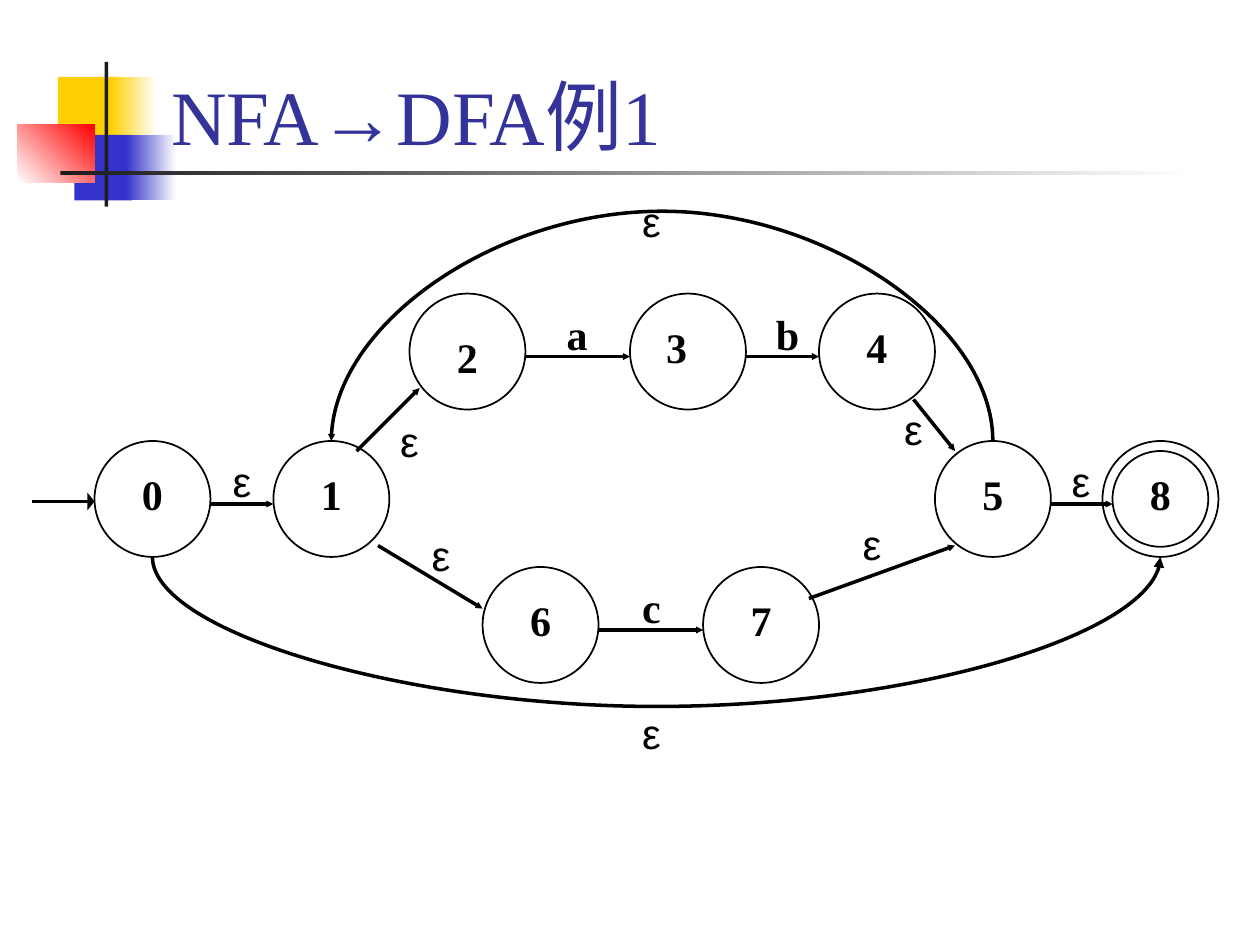
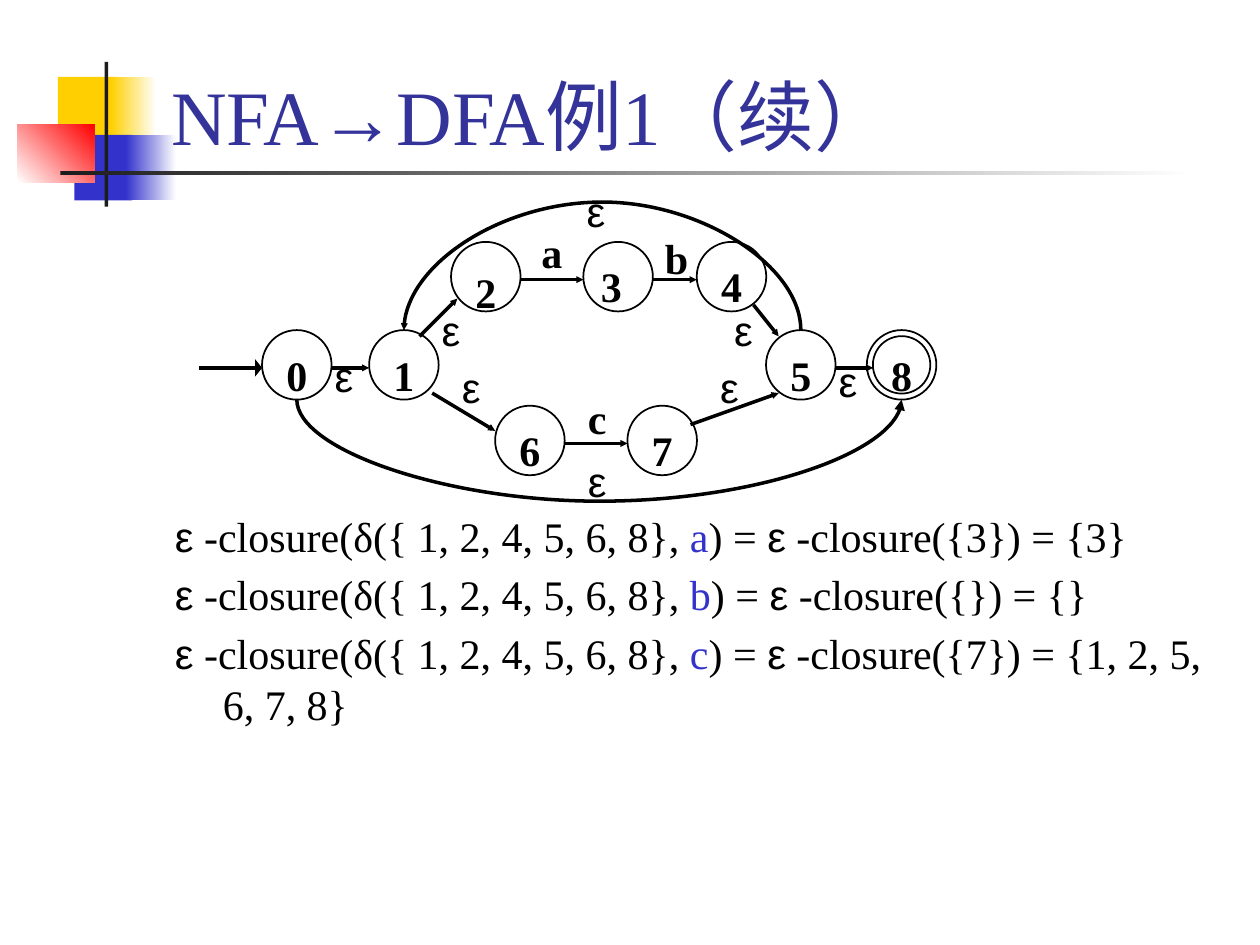
from lxml import etree
from pptx import Presentation
from pptx import util as u
from pptx.dml.color import RGBColor
from pptx.enum import shapes, text
from pptx.oxml import ns

COLORS = {
    "black": "000000",
    "white": "FFFFFF",
    "title": "333399",
    "yellow": "FFCF01",
    "blue": "3333CC",
    "red": "FF0000",
    "bar": "1C1C1C",
}
SERIF, SANS = "Times New Roman", "Arial"

BANDS = [
    ((0.46, 0.61, 0.48, 0.52), ["yellow"], 0),
    ((0.88, 0.61, 0.36, 0.52), ["yellow", "white"], 0),
    ((0.59, 1.07, 0.46, 0.52), ["blue"], 0),
    ((1, 1.07, 0.4, 0.52), ["blue", "white"], 0),
    ((0.14, 0.99, 0.61, 0.46), ["white", "red"], 45),
    ((0.83, 0.49, 0.03, 1.15), ["bar"], 0),
    ((0.48, 1.36, 9, 0.03), ["bar", "white"], 0),
]

STATES = {
    "0": (0.75, 3.5),
    "1": (2.17, 3.5),
    "2": (3.25, 2.33),
    "3": (5, 2.33),
    "4": (6.5, 2.33),
    "5": (7.42, 3.5),
    "6": (3.83, 4.5),
    "7": (5.58, 4.5),
    "8": (8.75, 3.5),
}
STATE_SIZE, FINAL_INSET = 0.92, 0.08
NAME_OFFSETS = {"2": (0.17, 0.25), "3": (0.08, 0.17)}

MOVES = [
    ((1.67, 4), (2.17, 4)),
    ((2.83, 3.58), (3.33, 3.08)),
    ((3, 4.33), (3.83, 4.83)),
    ((4.17, 2.83), (5, 2.83)),
    ((5.92, 2.83), (6.5, 2.83)),
    ((7.25, 3.17), (7.58, 3.58)),
    ((4.75, 5), (5.58, 5)),
    ((6.42, 4.75), (7.58, 4.33)),
    ((8.33, 4), (8.83, 4)),
]

DIAGRAMS = [
    {
        "title": "NFA→DFA例1",
        "scale": 1, "shift": (0, 0),
        "entry": ((0.25, 3.98), (0.75, 3.98)),
        "skip_depth": 1.31, "repeat_depth": 2.01,
        "labels": [
            ("ε", 7, 3.15), ("ε", 3, 3.25), ("ε", 4.92, 1.5), ("ε", 6.67, 4.07),
            ("ε", 4.92, 5.57), ("ε", 3.25, 4.15), ("ε", 1.67, 3.57), ("ε", 8.33, 3.57),
            ("a", 4.33, 2.4), ("b", 6, 2.4), ("c", 4.92, 4.57),
        ],
        "closures": [],
    },
    {
        "title": "NFA→DFA例1（续）",
        "scale": 0.6, "shift": (1.63, 0.52),
        "entry": ((1.58, 2.92), (2.08, 2.92)),
        "skip_depth": 0.89, "repeat_depth": 1.12,
        "labels": [
            ("ε", 5.75, 2.37), ("ε", 3.43, 2.37), ("ε", 4.58, 1.42), ("ε", 5.64, 2.82),
            ("ε", 4.59, 3.57), ("ε", 3.59, 2.82), ("ε", 2.58, 2.73), ("ε", 6.58, 2.77),
            ("a", 4.23, 1.75), ("b", 5.22, 1.8), ("c", 4.59, 3.07),
        ],
        "closures": [("a", "{3}", "{3}"), ("b", "{}", "{}"), ("c", "{7}", "{1, 2, 5, 6, 7, 8}")],
    },
]


def color(name):
    return RGBColor.from_string(COLORS[name])


def write(page, at, paragraphs, size=24, font=SERIF, ink="black", bold=False, align=None,
          anchor=text.MSO_ANCHOR.TOP, side=0.1, hanging=0, before=0):
    box = page.shapes.add_textbox(*map(u.Inches, at))
    frame = box.text_frame
    frame.word_wrap = True
    frame.vertical_anchor = anchor
    frame.margin_left = frame.margin_right = u.Inches(side)
    for index, spans in enumerate(paragraphs):
        para = frame.paragraphs[0] if index == 0 else frame.add_paragraph()
        para.alignment = align
        if index:
            para.space_before = u.Pt(before)
        if hanging:
            properties = para._p.get_or_add_pPr()
            properties.set("marL", str(u.Inches(hanging)))
            properties.set("indent", str(-u.Inches(hanging)))
        for words, span_font, span_ink in spans:
            span = para.add_run()
            span.text = words
            span.font.size = u.Pt(size)
            span.font.bold = bold
            span.font.name = span_font or font
            span.font.color.rgb = color(span_ink or ink)


def add_bands(page):
    for at, inks, angle in BANDS:
        band = page.shapes.add_shape(shapes.MSO_SHAPE.RECTANGLE, *map(u.Inches, at))
        band.shadow.inherit = False
        band.line.fill.background()
        if len(inks) == 1:
            band.fill.solid()
            band.fill.fore_color.rgb = color(inks[0])
            continue
        band.fill.gradient()
        band.fill.gradient_angle = angle
        for stop, ink, position in zip(band.fill.gradient_stops, inks, (0, 1)):
            stop.color.rgb = color(ink)
            stop.position = position


def add_circle(page, x, y, size):
    circle = page.shapes.add_shape(shapes.MSO_SHAPE.OVAL, *map(u.Inches, (x, y, size, size)))
    circle.shadow.inherit = False
    circle.fill.background()
    circle.line.color.rgb = color("black")
    circle.line.width = u.Pt(1)
    return circle


def add_arrow(page, start, end, kind=shapes.MSO_CONNECTOR.STRAIGHT, head=("sm", "sm")):
    arrow = page.shapes.add_connector(kind, *map(u.Inches, (*start, *end)))
    arrow.line.color.rgb = color("black")
    arrow.line.width = u.Pt(2)
    tip = etree.SubElement(arrow.line._get_or_add_ln(), ns.qn("a:tailEnd"))
    for key, value in zip(("type", "w", "len"), ("triangle", *head)):
        tip.set(key, value)
    etree.SubElement(arrow._element.spPr, ns.qn("a:effectLst"))
    return arrow


def add_loop(page, first, last, depth, above, head):
    arrow = add_arrow(page, (0, 0), (1, 1), shapes.MSO_CONNECTOR.CURVE, head)
    arrow.begin_connect(first, 0)
    arrow.end_connect(last, 0)
    site = "0" if above else "4"
    for joint in ("a:stCxn", "a:endCxn"):
        arrow._element.find(".//" + ns.qn(joint)).set("idx", site)
    thickness = 1588
    span = abs(last.left - first.left)
    center = (first.left + last.left + first.width) // 2
    level = first.top if above else first.top + first.height
    arrow.left, arrow.top = center - thickness // 2, level - span // 2
    arrow.width, arrow.height = thickness, span
    frame = arrow._element.spPr.find(ns.qn("a:xfrm"))
    frame.set("rot", "16200000")
    frame.set("flipH", "1")
    frame.set("flipV", "1" if above else "0")
    bend = round(u.Inches(depth) / thickness * 100000)
    geometry = arrow._element.spPr.find(ns.qn("a:prstGeom"))
    guides = geometry.find(ns.qn("a:avLst"))
    if guides is None:
        guides = etree.SubElement(geometry, ns.qn("a:avLst"))
    guide = etree.SubElement(guides, ns.qn("a:gd"))
    guide.set("name", "adj1")
    guide.set("fmla", f"val {-bend if above else bend}")


def add_automaton(page, diagram):
    scale, shift = diagram["scale"], diagram["shift"]

    def place(point):
        return tuple(round(offset + scale * value, 2) for offset, value in zip(shift, point))

    size = STATE_SIZE * scale
    centered = {"align": text.PP_ALIGN.CENTER, "side": 0}
    circles = {}
    for name, corner in STATES.items():
        x, y = place(corner)
        circles[name] = add_circle(page, x, y, size)
        dx, dy = NAME_OFFSETS.get(name, (0.17, 0.17))
        at = (x + dx * scale, y + dy * scale, 0.58 * scale, 0.5)
        write(page, at, [[(name, None, None)]], bold=True, **centered)
    inset = FINAL_INSET * scale
    x, y = place(STATES["8"])
    add_circle(page, x + inset, y + inset, size - 2 * inset)

    for start, end in MOVES:
        add_arrow(page, place(start), place(end))
    add_arrow(page, *diagram["entry"], head=("lg", "sm"))
    add_loop(page, circles["0"], circles["8"], diagram["skip_depth"], False, ("med", "med"))
    add_loop(page, circles["5"], circles["1"], diagram["repeat_depth"], True, ("sm", "sm"))

    for symbol, x, y in diagram["labels"]:
        empty = symbol == "ε"
        write(page, (x, y, 0.5 * scale, 0.5), [[(symbol, None, None)]],
              font=SANS if empty else SERIF, bold=not empty, **centered)


def closure_line(symbol, target, result):
    return [
        ("ε", SANS, None),
        (" -closure(δ({ 1, 2, 4, 5, 6, 8}, ", None, None),
        (symbol, None, "blue"),
        (") = ", None, None),
        ("ε", SANS, None),
        (f" -closure({target}) = {result}", None, None),
    ]


def main():
    deck = Presentation()
    deck.slide_width, deck.slide_height = u.Inches(10), u.Inches(7.5)
    for diagram in DIAGRAMS:
        page = deck.slides.add_slide(deck.slide_layouts[6])
        add_bands(page)
        write(page, (1.26, 0.08, 8.52, 1.25), [[(diagram["title"], None, None)]],
              size=44, ink="title", anchor=text.MSO_ANCHOR.BOTTOM)
        add_automaton(page, diagram)
        if diagram["closures"]:
            lines = [closure_line(*closure) for closure in diagram["closures"]]
            write(page, (1.29, 4, 8.5, 3.33), lines, hanging=0.38, before=4.8)
    deck.save("out.pptx")


if __name__ == "__main__":
    main()
